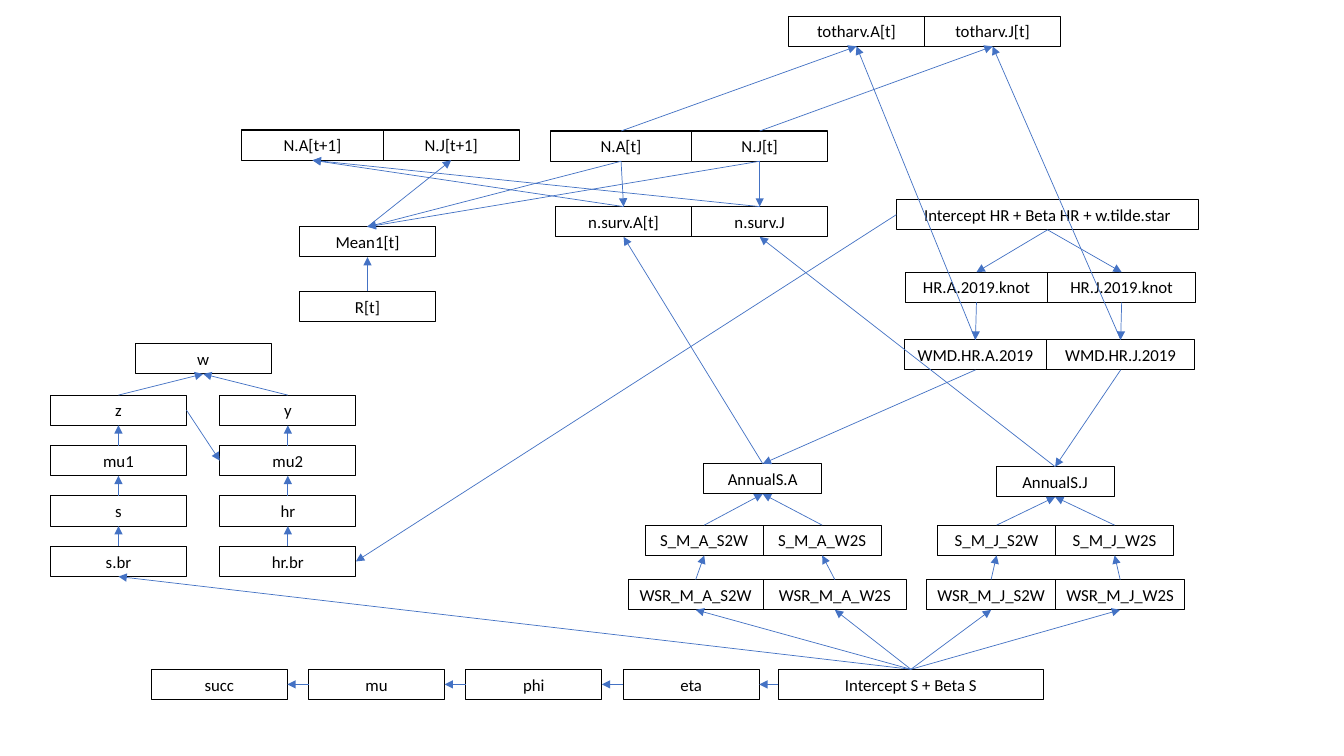
from itertools import pairwise

from lxml.etree import SubElement
from pptx import Presentation
from pptx.dml.color import RGBColor
from pptx.enum.shapes import MSO_CONNECTOR
from pptx.enum.text import MSO_AUTO_SIZE, PP_ALIGN
from pptx.oxml.ns import qn
from pptx.util import Inches, Pt

BLACK, BLUE = "000000", "4472C4"
WIDE, HIGH = 1.35, 0.3
TOP, LEFT, BOTTOM, RIGHT = range(4)


def color(code):
    return RGBColor.from_string(code)


def node(slide, text, x, y, wide=WIDE):
    box = slide.shapes.add_textbox(Inches(x), Inches(y), Inches(wide), Inches(HIGH))
    box.line.color.rgb = color(BLACK)
    box.line.width = Pt(0.75)
    frame = box.text_frame
    frame.word_wrap = True
    frame.auto_size = MSO_AUTO_SIZE.SHAPE_TO_FIT_TEXT
    para = frame.paragraphs[0]
    para.alignment = PP_ALIGN.CENTER
    run = para.add_run()
    run.text = text
    run.font.name = "Calibri"
    run.font.size = Pt(12)
    run.font.color.rgb = color(BLACK)
    return box


def pair(slide, names, seam, y, wides=(WIDE, WIDE)):
    """Place two boxes that meet at the seam."""
    return (node(slide, names[0], seam - wides[0], y, wides[0]),
            node(slide, names[1], seam, y, wides[1]))


def link(slide, start, end, out=TOP, into=BOTTOM):
    """Draw an arrow glued to one side of each box."""
    line = slide.shapes.add_connector(MSO_CONNECTOR.STRAIGHT, 0, 0, 0, 0)
    line.begin_connect(start, out)
    line.end_connect(end, into)
    line.line.color.rgb = color(BLUE)
    line.line.width = Pt(0.5)
    SubElement(line.line._get_or_add_ln(), qn("a:tailEnd"), type="triangle")
    SubElement(line._element.spPr, qn("a:effectLst"))


def counts(slide, x, y):
    """Place the population counts; return the harvest and survivor pairs."""
    harvest = pair(slide, ("totharv.A[t]", "totharv.J[t]"), x + 6.77, y)
    later = pair(slide, ("N.A[t+1]", "N.J[t+1]"), x + 1.4, y + 1.13, (1.4, WIDE))
    now = pair(slide, ("N.A[t]", "N.J[t]"), x + 4.46, y + 1.14, (1.4, WIDE))
    alive = pair(slide, ("n.surv.A[t]", "n.surv.J"), x + 4.46, y + 1.89)
    mean = node(slide, "Mean1[t]", x + 0.57, y + 2.09)
    rate = node(slide, "R[t]", x + 0.57, y + 2.73)
    link(slide, rate, mean)
    link(slide, mean, later[1])
    for total, size, left in zip(harvest, now, alive):
        link(slide, size, total)
        link(slide, size, left, BOTTOM, TOP)
        link(slide, size, mean, BOTTOM, TOP)
        link(slide, left, later[0])
    return harvest, alive


def rates(slide, x, y):
    """Place the harvest rates; return the intercept and the yearly pair."""
    base = node(slide, "Intercept HR + Beta HR + w.tilde.star", x, y, 3)
    wides = (1.41, 1.47)
    knots = pair(slide, ("HR.A.2019.knot", "HR.J.2019.knot"), x + 1.5, y + 0.72, wides)
    years = pair(slide, ("WMD.HR.A.2019", "WMD.HR.J.2019"), x + 1.49, y + 1.39, wides)
    for knot, year in zip(knots, years):
        link(slide, base, knot, BOTTOM, TOP)
        link(slide, knot, year, BOTTOM, TOP)
    return base, years


def annual(slide, group, mid, y, drop, wides):
    """Place one survival tree; return its top box and its lowest pair."""
    top = node(slide, f"AnnualS.{group}", mid - 0.59, y, 1.17)
    names = [f"M_{group}_{way}" for way in ("S2W", "W2S")]
    parts = pair(slide, [f"S_{name}" for name in names], mid, y + drop, (1.17, 1.17))
    roots = pair(slide, [f"WSR_{name}" for name in names], mid, y + drop + 0.54, wides)
    for part, root in zip(parts, roots):
        link(slide, part, top)
        link(slide, root, part)
    return top, roots


def chain(slide, x, y):
    """Place the bottom row; return the intercept."""
    row = [node(slide, name, x + 1.56 * i, y)
           for i, name in enumerate(("succ", "mu", "phi", "eta"))]
    row.append(node(slide, "Intercept S + Beta S", x + 6.22, y, 2.63))
    for end, start in pairwise(row):
        link(slide, start, end, LEFT, RIGHT)
    return row[-1]


def ladder(slide, x, y):
    """Place the two columns under w; return their lowest boxes."""
    peak = node(slide, "w", x + 0.84, y)
    stacks = []
    for i, names in enumerate((("z", "mu1", "s", "s.br"), ("y", "mu2", "hr", "hr.br"))):
        stack = [node(slide, name, x + 1.68 * i, y + 0.51 + 0.5 * j)
                 for j, name in enumerate(names)]
        for end, start in pairwise([peak] + stack):
            link(slide, start, end)
        stacks.append(stack)
    link(slide, stacks[0][0], stacks[1][1], RIGHT, LEFT)
    return [stack[-1] for stack in stacks]


def main():
    deck = Presentation()
    deck.slide_width, deck.slide_height = Inches(13.33), Inches(7.5)
    slide = deck.slides.add_slide(deck.slide_layouts[6])
    harvest, alive = counts(slide, 2.4, 0.16)
    base, years = rates(slide, 8.89, 1.98)
    trees = (annual(slide, "A", 7.57, 4.6, 0.61, (1.34, 1.42)),
             annual(slide, "J", 10.47, 4.63, 0.58, (1.28, 1.28)))
    start = chain(slide, 1.5, 6.64)
    feet = ladder(slide, 0.5, 3.41)
    for total, left, year, (top, roots) in zip(harvest, alive, years, trees):
        link(slide, year, total)
        link(slide, year, top, BOTTOM, TOP)
        link(slide, top, left)
        for root in roots:
            link(slide, start, root)
    link(slide, start, feet[0])
    link(slide, base, feet[1], LEFT, RIGHT)
    deck.save("out.pptx")


if __name__ == "__main__":
    main()
